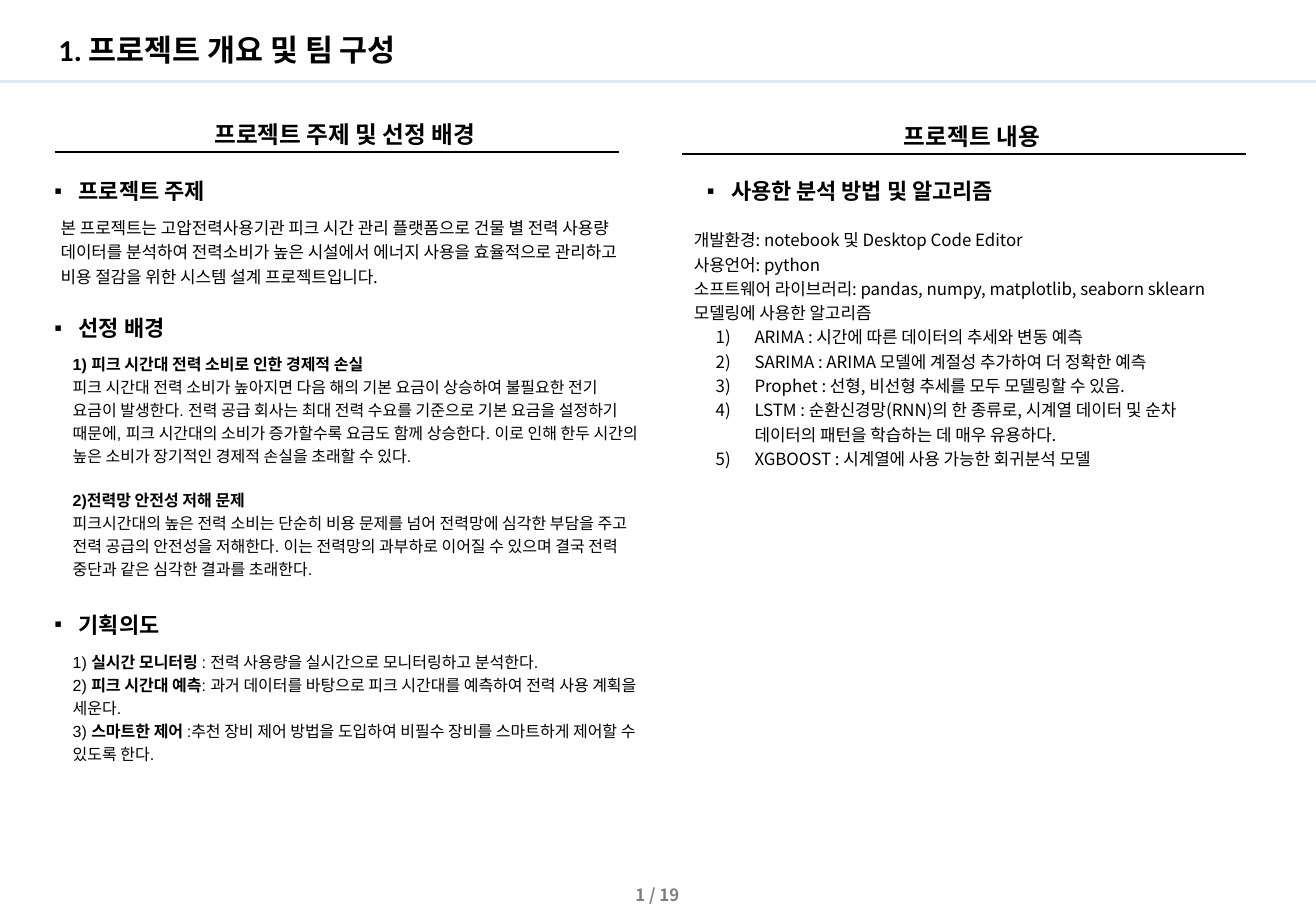
from dataclasses import dataclass

from lxml.etree import SubElement
from pptx import Presentation
from pptx.dml.color import RGBColor as RGB
from pptx.enum.shapes import MSO_CONNECTOR as Connector
from pptx.enum.text import MSO_ANCHOR as Anchor, MSO_AUTO_SIZE as AutoSize, PP_ALIGN as Align
from pptx.oxml.ns import qn
from pptx.util import Pt


@dataclass(frozen=True)
class Theme:
    black: RGB = RGB(0, 0, 0)
    gray: RGB = RGB(0x7F, 0x7F, 0x7F)
    sky: RGB = RGB(0xD9, 0xEA, 0xF1)
    korean: str = "Noto Sans CJK KR"
    latin: str = "Arial"
    number: str = "Calibri"
    title: float = 18
    section: float = 14
    heading: float = 13
    body: float = 10
    detail: float = 9.5


class Page:
    def __init__(self, slide, theme):
        self.slide = slide
        self.theme = theme

    def frame(self, shape, left, top, width, height, inset=3.6, anchor=Anchor.TOP):
        shape.left, shape.top = Pt(left), Pt(top)
        shape.width, shape.height = Pt(width), Pt(height)
        frame = shape.text_frame
        frame.word_wrap = True
        frame.auto_size = AutoSize.NONE
        frame.vertical_anchor = anchor
        frame.margin_left = frame.margin_right = Pt(7.2)
        frame.margin_top = frame.margin_bottom = Pt(inset)
        return frame

    def box(self, left, top, width, height, inset=3.6):
        shape = self.slide.shapes.add_textbox(0, 0, 0, 0)
        return self.frame(shape, left, top, width, height, inset)

    def bullet(self, paragraph, indent, hanging, tag, **marker):
        properties = paragraph._p.get_or_add_pPr()
        properties.set("marL", str(Pt(indent)))
        properties.set("indent", str(-Pt(hanging)))
        if tag != "a:buNone":
            color = SubElement(properties, qn("a:buClr"))
            SubElement(color, qn("a:srgbClr"), val=str(self.theme.black))
            SubElement(properties, qn("a:buFont"), typeface=self.theme.latin)
        SubElement(properties, qn(tag), **marker)

    def style(self, paragraph, size, bold=False, color=None, name=None,
              align=Align.LEFT, spacing=1.2, before=0):
        paragraph.alignment = align
        paragraph.line_spacing = spacing
        paragraph.space_before, paragraph.space_after = Pt(before), Pt(0)
        font = paragraph.font
        font.size, font.bold = Pt(size), bold
        font.color.rgb = color or self.theme.black
        font.name = name or self.theme.korean
        defaults = paragraph._p.pPr.find(qn("a:defRPr"))
        SubElement(defaults, qn("a:ea"), typeface=self.theme.korean)

    def rule(self, left, right, y, color, weight):
        line = self.slide.shapes.add_connector(
            Connector.STRAIGHT, Pt(left), Pt(y), Pt(right), Pt(y))
        line.line.color.rgb = color
        line.line.width = Pt(weight)
        SubElement(line._element.spPr, qn("a:effectLst"))

    def title(self, number, words):
        frame = self.frame(self.slide.shapes.title, 27.4, 16.6, 712.8, 28,
                           anchor=Anchor.MIDDLE)
        heading = frame.paragraphs[0]
        prefix = heading.add_run()
        prefix.text = number
        prefix.font.name = self.theme.number
        heading.add_run().text = words
        self.style(heading, self.theme.title, bold=True, spacing=0.9)

    def section(self, words, left, y):
        frame = self.box(left + 19.4, y - 25.9, 305.3, 25.9)
        frame.text = words
        self.style(frame.paragraphs[0], self.theme.section, bold=True, align=Align.CENTER)
        self.rule(left, left + 334.5, y, self.theme.black, 1)

    def heading(self, words, left, top):
        frame = self.box(left, top, 349.2, 24.5)
        frame.text = words
        heading = frame.paragraphs[0]
        self.bullet(heading, 14.4, 14.4, "a:buChar", char="▪")
        self.style(heading, self.theme.heading, bold=True)

    def text(self, words, left, top, width, height, **style):
        frame = self.box(left, top, width, height)
        frame.text = words
        self.style(frame.paragraphs[0], self.theme.body, **style)

    def details(self, blocks, left, top, width, height, inset=3.6):
        frame = self.box(left, top, width, height, inset)
        for position, lines in enumerate(blocks):
            block = frame.add_paragraph() if position else frame.paragraphs[0]
            for row, parts in enumerate(lines):
                if row:
                    block.add_line_break()
                for words, bold in parts:
                    run = block.add_run()
                    run.text = words
                    run.font.bold = bold
            self.style(block, self.theme.detail, name=self.theme.latin,
                       before=12 if position else 0)

    def listing(self, facts, steps, left, top, width, height):
        frame = self.frame(self.slide.placeholders[1], left, top, width, height)
        frame.text = "\n".join(facts + steps)
        for position, entry in enumerate(frame.paragraphs):
            if position < len(facts):
                self.bullet(entry, 0, 0, "a:buNone")
            else:
                self.bullet(entry, 36, 23, "a:buAutoNum", type="arabicParenR")
            self.style(entry, self.theme.body)


TOPIC = (
    "본 프로젝트는 고압전력사용기관 피크 시간 관리 플랫폼으로 건물 별 전력 사용량 "
    "데이터를 분석하여 전력소비가 높은 시설에서 에너지 사용을 효율적으로 관리하고 "
    "비용 절감을 위한 시스템 설계 프로젝트입니다."
)
REASONS = [
    ("1) 피크 시간대 전력 소비로 인한 경제적 손실",
     "피크 시간대 전력 소비가 높아지면 다음 해의 기본 요금이 상승하여 불필요한 전기 "
     "요금이 발생한다. 전력 공급 회사는 최대 전력 수요를 기준으로 기본 요금을 설정하기 "
     "때문에, 피크 시간대의 소비가 증가할수록 요금도 함께 상승한다. 이로 인해 한두 "
     "시간의 높은 소비가 장기적인 경제적 손실을 초래할 수 있다."),
    ("2)전력망 안전성 저해 문제",
     "피크시간대의 높은 전력 소비는 단순히 비용 문제를 넘어 전력망에 심각한 부담을 "
     "주고 전력 공급의 안전성을 저해한다. 이는 전력망의 과부하로 이어질 수 있으며 결국 "
     "전력 중단과 같은 심각한 결과를 초래한다."),
]
GOALS = [
    ("1) ", "실시간 모니터링", " : 전력 사용량을 실시간으로 모니터링하고 분석한다."),
    ("2) ", "피크 시간대 예측",
     ": 과거 데이터를 바탕으로 피크 시간대를 예측하여 전력 사용 계획을 세운다."),
    ("3) ", "스마트한 제어",
     " :추천 장비 제어 방법을 도입하여 비필수 장비를 스마트하게 제어할 수 있도록 한다."),
]
ENVIRONMENT = [
    "개발환경: notebook 및 Desktop Code Editor",
    "사용언어: python",
    "소프트웨어 라이브러리: pandas, numpy, matplotlib, seaborn sklearn",
    "모델링에 사용한 알고리즘",
]
ALGORITHMS = [
    "ARIMA : 시간에 따른 데이터의 추세와 변동 예측",
    "SARIMA : ARIMA 모델에 계절성 추가하여 더 정확한 예측",
    "Prophet : 선형, 비선형 추세를 모두 모델링할 수 있음.",
    "LSTM : 순환신경망(RNN)의 한 종류로, 시계열 데이터 및 순차 데이터의 패턴을 "
    "학습하는 데 매우 유용하다.",
    "XGBOOST : 시계열에 사용 가능한 회귀분석 모델",
]


def main():
    deck = Presentation()
    deck.slide_width, deck.slide_height = Pt(779.8), Pt(540)
    theme = Theme()
    page = Page(deck.slides.add_slide(deck.slide_layouts[1]), theme)

    page.rule(0, 779.8, 48.2, theme.sky, 2)
    page.title("1. ", "프로젝트 개요 및 팀 구성")
    page.section("프로젝트 주제 및 선정 배경", 32.4, 90)
    page.section("프로젝트 내용", 403.9, 91.4)
    for words, left, top in [
        ("프로젝트 주제", 25.2, 98.6),
        ("선정 배경", 25.2, 180),
        ("기획의도", 25.2, 355.7),
        ("사용한 분석 방법 및 알고리즘", 411.8, 98.6),
    ]:
        page.heading(words, left, top)

    page.text(TOPIC, 28.8, 123.1, 349.2, 50.4)
    reasons = [[[(name, True)], [(story, False)]] for name, story in REASONS]
    page.details(reasons, 36, 204.5, 349.2, 144)
    goals = [[(number, False), (name, True), (story, False)] for number, name, story in GOALS]
    page.details([goals], 36, 377.3, 362.9, 108.7, inset=7.2)
    page.listing(ENVIRONMENT, ALGORITHMS, 403.9, 130.3, 334.8, 169.2)
    page.text("1 / 19", 331.9, 518.4, 115.2, 18,
              bold=True, color=theme.gray, align=Align.CENTER)
    deck.save("out.pptx")


if __name__ == "__main__":
    main()
